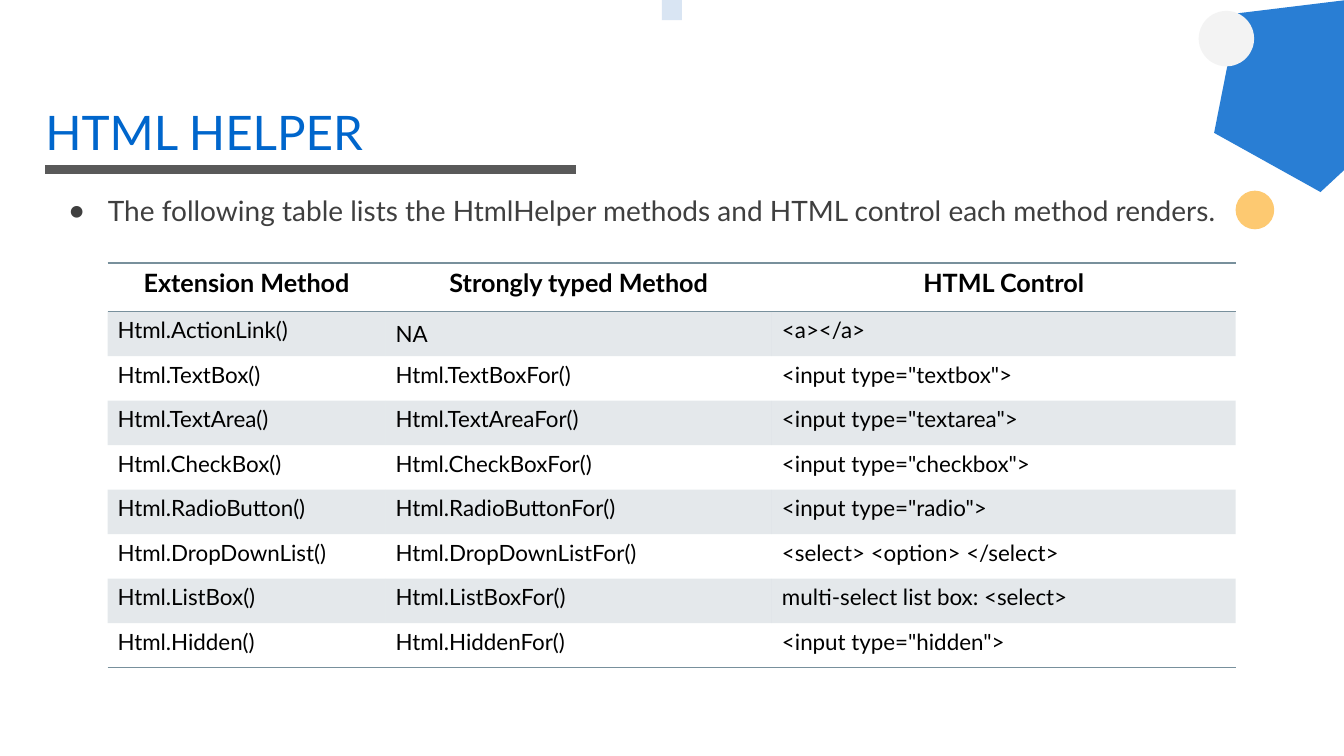
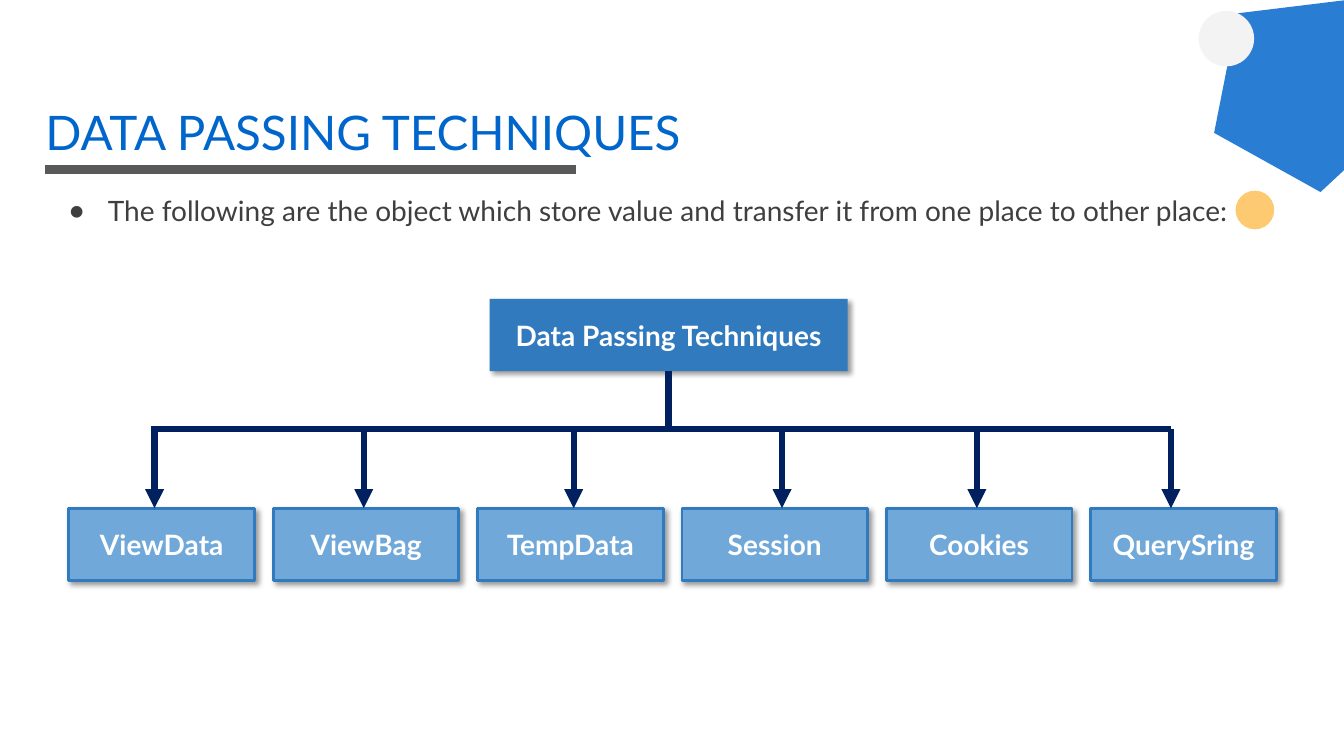
from dataclasses import dataclass

from lxml.etree import Element, SubElement
from pptx import Presentation
from pptx.dml.color import RGBColor
from pptx.enum.shapes import MSO_CONNECTOR, MSO_SHAPE
from pptx.enum.text import MSO_ANCHOR, MSO_AUTO_SIZE, PP_ALIGN
from pptx.oxml.ns import qn
from pptx.util import Emu, Inches, Pt


@dataclass(frozen=True)
class Theme:
    font: str = "Lato"
    blue: str = "0066CC"
    amber: str = "FCA106"
    pale: str = "F3F3F3"
    sky: str = "D9E5F3"
    rule: str = "595959"
    body: str = "3F3F3F"
    ink: str = "000000"
    white: str = "FFFFFF"
    slate: str = "78909C"
    root: str = "317ABD"
    leaf: str = "70A8DA"
    navy: str = "002060"
    title_size: int = 34
    text_size: int = 20
    head_size: int = 18
    cell_size: int = 16


THEME = Theme()
COLS, ROWS = 160, 90  # grid cells across and down the slide
CELL = Inches(1) / 12
LEFT, WIDE = 5.4, 149
NO_STYLE = "{2D5ABB26-0587-4C30-8999-92F81FD0307C}"

TABLE_COLS = (33.1, 46, 55.2)
HEAD_ROW, BODY_ROW = 5.8, 5.3
HELPERS = (
    ("Extension Method", "Strongly typed Method", "HTML Control"),
    ("Html.ActionLink()", "NA", "<a></a>"),
    ("Html.TextBox()", "Html.TextBoxFor()", '<input type="textbox">'),
    ("Html.TextArea()", "Html.TextAreaFor()", '<input type="textarea">'),
    ("Html.CheckBox()", "Html.CheckBoxFor()", '<input type="checkbox">'),
    ("Html.RadioButton()", "Html.RadioButtonFor()", '<input type="radio">'),
    ("Html.DropDownList()", "Html.DropDownListFor()",
     "<select> <option> </select>"),
    ("Html.ListBox()", "Html.ListBoxFor()", "multi-select list box: <select>"),
    ("Html.Hidden()", "Html.HiddenFor()", '<input type="hidden">'),
)

# Each technique with the column where its arrow drops
LEAVES = (("ViewData", 18.4), ("ViewBag", 43.3), ("TempData", 68.3),
          ("Session", 93.1), ("Cookies", 116.3), ("QuerySring", 139.4))
LEAF_LEFT, LEAF_TOP, LEAF_STEP, LEAF_WIDE = 8.2, 60.5, 24.33, 22.1
BOX_HIGH = 8.6
ROOT_LEFT, ROOT_TOP, ROOT_WIDE = 58.3, 35.6, 42.6
BAR_TOP = 51.1


def grid(*cells):
    return [Emu(round(cell * CELL)) for cell in cells]


def rgb(code):
    return RGBColor.from_string(code)


def node(owner, tag, **attrs):
    return SubElement(owner, qn(tag), {k: str(v) for k, v in attrs.items()})


def fade(element, share):
    """Set the opacity, in percent, of the solid fill in an element."""
    color = element.find(qn("a:solidFill")).find(qn("a:srgbClr"))
    node(color, "a:alpha", val=share * 1000)


def write(frame, text, size, color, bold=False, align=PP_ALIGN.LEFT):
    frame.text = text
    para = frame.paragraphs[0]
    para.alignment = align
    for run in para.runs:
        font = run.font
        font.name, font.size, font.bold = THEME.font, Pt(size), bold
        font.color.rgb = rgb(color)
    return para


def shape(shapes, kind, place, fill, alpha=None):
    item = shapes.add_shape(kind, *grid(*place))
    item.shadow.inherit = False
    item.fill.solid()
    item.fill.fore_color.rgb = rgb(fill)
    item.line.fill.background()
    if alpha:
        fade(item.element.spPr, alpha)
    return item


def line(shapes, start, end, color, width, arrow=False):
    item = shapes.add_connector(MSO_CONNECTOR.STRAIGHT, *grid(*start, *end))
    item.line.color.rgb = rgb(color)
    item.line.width = Pt(width)
    props = item.element.spPr
    if arrow:
        node(props.find(qn("a:ln")), "a:tailEnd", type="triangle")
    node(props, "a:effectLst")
    return item


def box(shapes, place, text, fill, edge=None):
    """Add a labelled rectangle with a soft shadow."""
    item = shape(shapes, MSO_SHAPE.RECTANGLE, place, fill)
    if edge:
        item.line.color.rgb = rgb(edge)
        item.line.width = Pt(2)
    glow = node(item.element.spPr.find(qn("a:effectLst")), "a:outerShdw",
                blurRad=Pt(4), dist=Pt(3), dir=45 * 60000, algn="tl",
                rotWithShape=0)
    node(node(glow, "a:srgbClr", val=THEME.ink), "a:alpha", val=40000)
    frame = item.text_frame
    frame.vertical_anchor = MSO_ANCHOR.MIDDLE
    write(frame, text, THEME.text_size, THEME.white, True, PP_ALIGN.CENTER)


def inset(frame, left, top, right, bottom):
    frame.margin_left, frame.margin_right = Inches(left), Inches(right)
    frame.margin_top, frame.margin_bottom = Inches(top), Inches(bottom)
    frame.word_wrap = True
    frame.auto_size = MSO_AUTO_SIZE.NONE
    frame.vertical_anchor = MSO_ANCHOR.TOP


def title(slide, text):
    item = slide.shapes.title
    item.left, item.top, item.width, item.height = grid(LEFT, 12.1, WIDE, 9.5)
    inset(item.text_frame, 0, 0.01, 0, 0)
    write(item.text_frame, text, THEME.title_size, THEME.blue)


def bullet(slide, text):
    frame = slide.shapes.add_textbox(*grid(LEFT, 20.8, WIDE, 57)).text_frame
    inset(frame, 0.13, 0.13, 0.13, 0.13)
    para = write(frame, text, THEME.text_size, THEME.body)
    para.line_spacing, para.space_before = Pt(28), Pt(10)
    props = frame.paragraphs[0].runs[0].font and para.runs[0]
    props = frame.paragraphs[0].runs[0] if props is None else props
    marks = para.line_spacing and next(
        frame.paragraphs[0].runs[0]._r.getparent().iter(qn("a:pPr")))
    marks.set("marL", str(Inches(0.49)))
    marks.set("indent", str(Inches(-0.38)))
    node(node(marks, "a:buClr"), "a:srgbClr", val=THEME.body)
    node(marks, "a:buSzPct", val=85000)
    node(marks, "a:buFont", typeface=THEME.font)
    node(marks, "a:buChar", char="●")


def border(props, sides):
    """Put border lines, named in schema order, ahead of a cell's fill."""
    for spot, side in enumerate(sides):
        edge = Element(qn(f"a:ln{side}"), {"w": str(Pt(1))})
        node(node(edge, "a:solidFill"), "a:srgbClr", val=THEME.slate)
        props.insert(spot, edge)


def table(slide, rows):
    high = HEAD_ROW + BODY_ROW * (len(rows) - 1)
    place = grid(12.8, 31.3, sum(TABLE_COLS), high)
    item = slide.shapes.add_table(len(rows), len(TABLE_COLS), *place)
    next(item.element.iter(qn("a:tableStyleId"))).text = NO_STYLE
    chart = item.table
    chart.first_row = chart.horz_banding = False
    for col, width in zip(chart.columns, grid(*TABLE_COLS)):
        col.width = width
    cells = item.element.iter(qn("a:tc"))
    last = len(rows) - 1
    for r, row in enumerate(rows):
        head = r == 0
        chart.rows[r].height = grid(BODY_ROW if r else HEAD_ROW)[0]
        for c, text in enumerate(row):
            cell = chart.cell(r, c)
            write(cell.text_frame, text,
                  THEME.head_size if head else THEME.cell_size, THEME.ink,
                  head, PP_ALIGN.CENTER if head else PP_ALIGN.LEFT)
            cell.vertical_anchor = (MSO_ANCHOR.MIDDLE if text == "NA"
                                    else MSO_ANCHOR.TOP)
            cell.fill.background()
            props = next(cells).find(qn("a:tcPr"))
            if r % 2:
                cell.fill.solid()
                cell.fill.fore_color.rgb = rgb(THEME.slate)
                fade(props, 20)
            border(props, "TB" if head else "B" if r == last else "")


def tree(slide):
    shapes = slide.shapes.add_group_shape().shapes
    box(shapes, (ROOT_LEFT, ROOT_TOP, ROOT_WIDE, BOX_HIGH),
        "Data Passing Techniques", THEME.root)
    for i, (name, _) in enumerate(LEAVES):
        left = LEAF_LEFT + i * LEAF_STEP
        box(shapes, (left, LEAF_TOP, LEAF_WIDE, BOX_HIGH), name,
            THEME.leaf, THEME.root)
    mid = ROOT_LEFT + ROOT_WIDE / 2
    line(shapes, (18, BAR_TOP), (LEAVES[-1][1], BAR_TOP), THEME.navy, 4.5)
    line(shapes, (mid, ROOT_TOP + BOX_HIGH), (mid, BAR_TOP), THEME.navy, 4.5)
    for _, drop in LEAVES:
        line(shapes, (drop, BAR_TOP), (drop, LEAF_TOP), THEME.navy, 4.5, True)


def brand(layout, slide):
    """Draw the shared decoration and move it to the layout."""
    for item in list(layout.placeholders)[1:]:
        layout.shapes.element.remove(item.element)
    shapes = slide.shapes
    star = shape(shapes, MSO_SHAPE.REGULAR_PENTAGON,
                 (143.2, -1.4, 23.5, 22.3), THEME.blue, 84)
    star.rotation = 317.1
    parts = (
        line(shapes, (LEFT, 20.2), (68.6, 20.2), THEME.rule, 6),
        star,
        shape(shapes, MSO_SHAPE.OVAL, (147.1, 22.7, 4.6, 4.6),
              THEME.amber, 57),
        shape(shapes, MSO_SHAPE.OVAL, (142.7, 1.3, 6.6, 6.6), THEME.pale),
    )
    for part in parts:
        layout.shapes.element.append(part.element)


def main():
    deck = Presentation()
    deck.slide_width, deck.slide_height = grid(COLS, ROWS)
    layout = deck.slide_layouts[5]

    helper = deck.slides.add_slide(layout)
    brand(layout, helper)
    title(helper, "HTML HELPER")
    bullet(helper, "The following table lists the HtmlHelper methods "
                   "and HTML control each method renders.")
    shape(helper.shapes, MSO_SHAPE.RECTANGLE, (78.8, -2.4, 2.4, 4.8),
          THEME.sky)
    table(helper, HELPERS)

    passing = deck.slides.add_slide(layout)
    title(passing, "DATA PASSING TECHNIQUES")
    bullet(passing, "The following are the object which store value and "
                    "transfer it from one place to other place:")
    tree(passing)
    deck.save("out.pptx")


if __name__ == "__main__":
    main()
